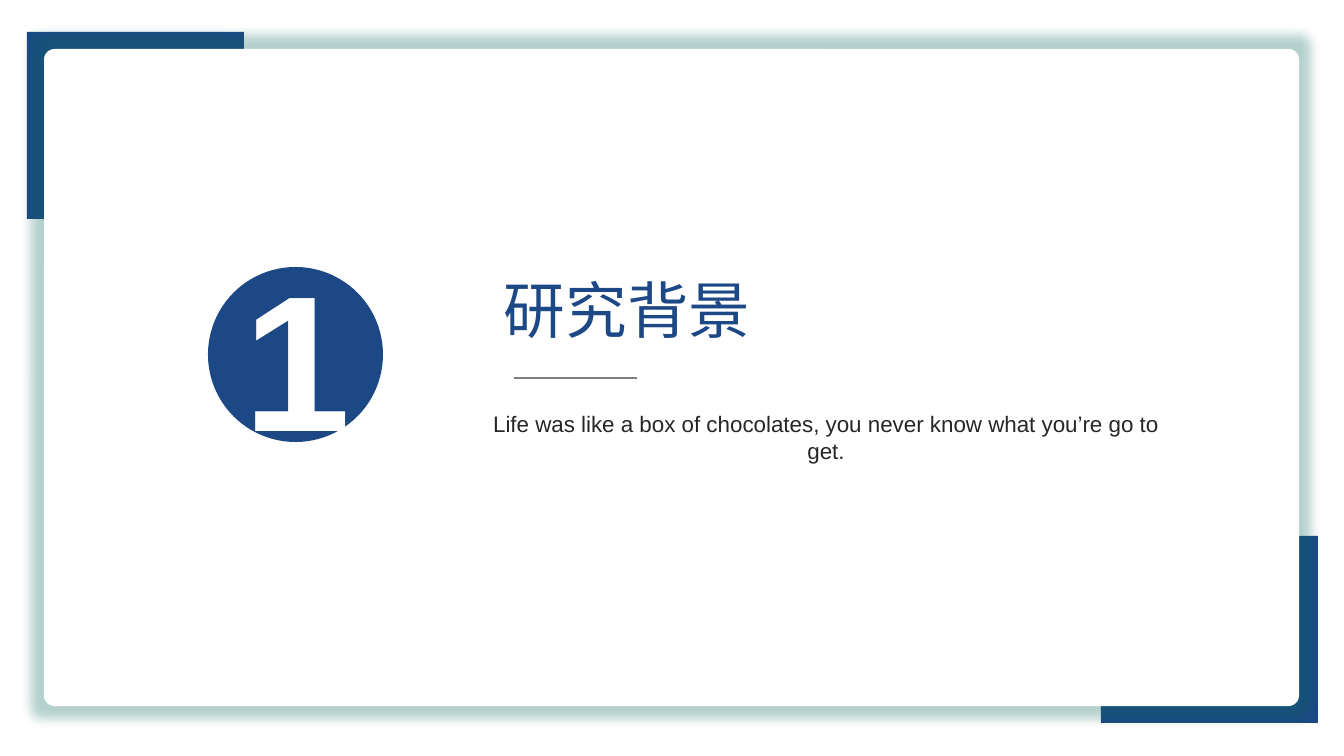
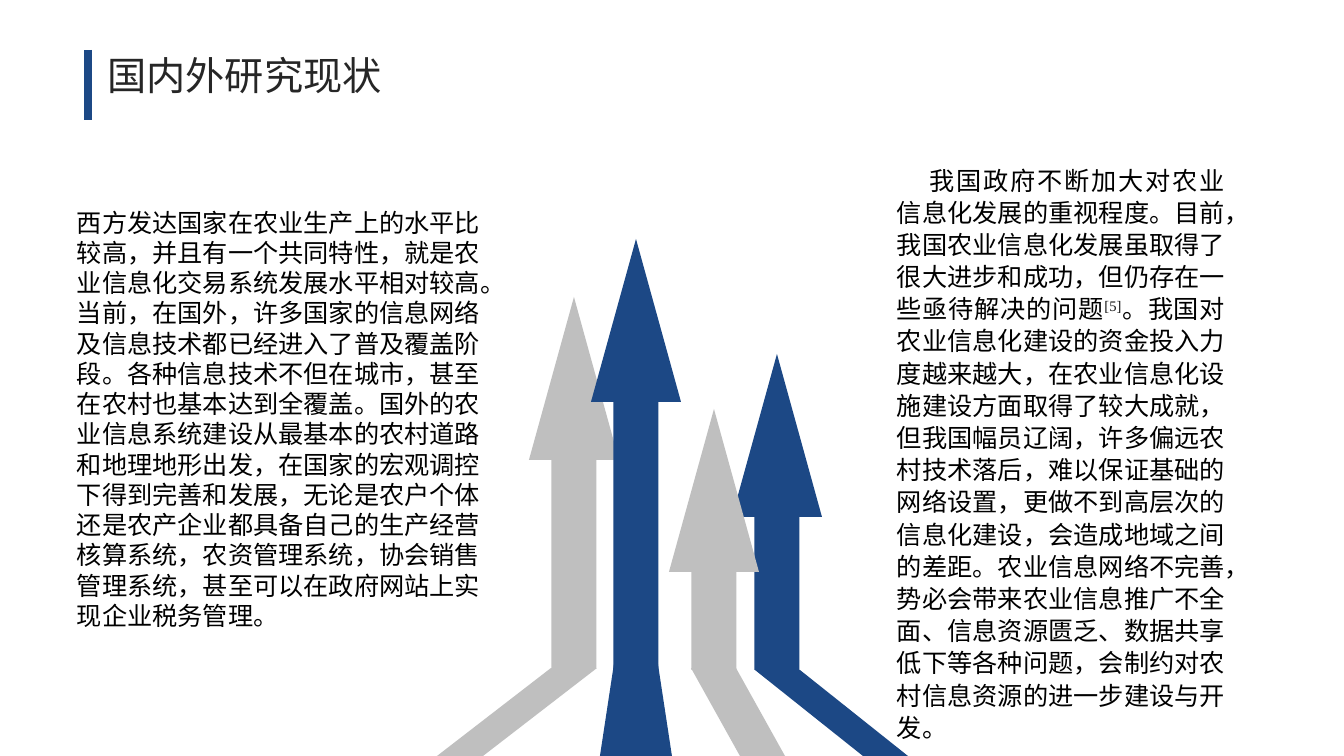
from lxml import etree
from pptx import Presentation
from pptx import util as u
from pptx.dml.color import RGBColor
from pptx.enum import shapes, text
from pptx.oxml import ns

PX = 9071
WIDTH, HEIGHT = 1344, 756
NAVY = RGBColor(0x1C, 0x48, 0x85)
SILVER = RGBColor(0xBF, 0xBF, 0xBF)
GRAY = RGBColor(0x80, 0x80, 0x80)
INK = RGBColor(0x26, 0x26, 0x26)
CITE = RGBColor(0x12, 0x12, 0x12)
BLACK = RGBColor(0, 0, 0)
WHITE = RGBColor(0xFF, 0xFF, 0xFF)
GLOW = RGBColor(0x0A, 0x68, 0x5D)
SHAPE = shapes.MSO_SHAPE
ALIGN = text.PP_ALIGN


def paint(shape, color):
    shape.shadow.inherit = False
    shape.fill.solid()
    shape.fill.fore_color.rgb = color
    shape.line.fill.background()
    return shape


def write(box, words, size, color, font="Arial", bold=False, align=ALIGN.LEFT,
          anchor=text.MSO_ANCHOR.TOP, indent=0, spacing=None, cite=None):
    frame = box.text_frame
    frame.word_wrap = True
    frame.vertical_anchor = anchor
    para = frame.paragraphs[0]
    para.alignment = align
    if spacing:
        para.line_spacing = u.Pt(spacing)
    if indent:
        para._p.get_or_add_pPr().set("indent", str(PX * indent))
    for part in words:
        span = para.add_run()
        span.text = part
        span.font.size = u.Pt(size)
        span.font.name = font
        span.font.bold = bold
        span.font.color.rgb = CITE if part == cite else color
        if part == cite:
            span._r.get_or_add_rPr().set("baseline", "30000")


deck = Presentation()
deck.slide_width, deck.slide_height = PX * WIDTH, PX * HEIGHT
section, status = [deck.slides.add_slide(deck.slide_layouts[6]) for _ in range(2)]

corner_width, corner_height = 217, 187
for left, top in [(27, 32), (1101, 536)]:
    paint(section.shapes.add_shape(SHAPE.RECTANGLE, PX * left, PX * top,
                                   PX * corner_width, PX * corner_height), NAVY)

card = paint(section.shapes.add_shape(SHAPE.ROUNDED_RECTANGLE, PX * 44, PX * 49,
                                      PX * 1255, PX * 657), WHITE)
card.adjustments[0] = 0.016
effects = card._element.spPr.find(ns.qn("a:effectLst"))
glow = etree.SubElement(effects, ns.qn("a:outerShdw"), blurRad=str(PX * 10),
                        sx="102000", sy="104000", algn="ctr", rotWithShape="0")
tint = etree.SubElement(glow, ns.qn("a:srgbClr"), val=str(GLOW))
etree.SubElement(tint, ns.qn("a:alpha"), val="29000")

badge = paint(section.shapes.add_shape(SHAPE.OVAL, PX * 208, PX * 267,
                                       PX * 175, PX * 175), NAVY)
write(badge, ["1"], 138, WHITE, bold=True, align=ALIGN.CENTER,
      anchor=text.MSO_ANCHOR.MIDDLE)
write(section.shapes.add_textbox(PX * 494, PX * 267, PX * 635, PX * 85),
      ["研究背景"], 44, NAVY, align=ALIGN.JUSTIFY)
write(section.shapes.add_textbox(PX * 479, PX * 405, PX * 694, PX * 65),
      ["Life was like a box of chocolates, you never know what you’re go to get."],
      16, INK, align=ALIGN.CENTER)

write(status.shapes.add_textbox(PX * 88, PX * 46, PX * 313, PX * 57),
      ["国内外研究现状"], 28, INK, align=ALIGN.CENTER)

for left, top, bottom, color in [(529, 297, 668, SILVER), (732, 354, 670, NAVY),
                                 (669, 409, 670, SILVER), (591, 239, 670, NAVY)]:
    arrow = paint(status.shapes.add_shape(SHAPE.UP_ARROW, PX * left, PX * top,
                                          PX * 90, PX * (bottom - top)), color)
    arrow.adjustments[0] = 0.5
    arrow.adjustments[1] = 1.81

for top, top_left, top_right, low_left, low_right, color in [
        (668, 551, 597, 437, 483, SILVER), (670, 755, 800, 863, 908, NAVY),
        (664, 614, 658, 600, 672, NAVY), (668, 691, 736, 740, 785, SILVER)]:
    outline = status.shapes.build_freeform(top_left, top, scale=PX)
    outline.add_line_segments([(top_right, top), (low_right, HEIGHT),
                               (low_left, HEIGHT)], close=True)
    paint(outline.convert_to_shape(), color)

write(status.shapes.add_textbox(PX * 67, PX * 202, PX * 442, PX * 437),
      ["西方发达国家在农业生产上的水平比较高，并且有一个共同特性，就是农业信息化交易系统"
       "发展水平相对较高。当前，在国外，许多国家的信息网络及信息技术都已经进入了普及覆盖"
       "阶段。各种信息技术不但在城市，甚至在农村也基本达到全覆盖。国外的农业信息系统建设"
       "从最基本的农村道路和地理地形出发，在国家的宏观调控下得到完善和发展，无论是农户个体"
       "还是农产企业都具备自己的生产经营核算系统，农资管理系统，协会销售管理系统，甚至可以"
       "在政府网站上实现企业税务管理。"],
      18, BLACK, font="Times New Roman")
write(status.shapes.add_textbox(PX * 887, PX * 158, PX * 348, PX * 593),
      ["我国政府不断加大对农业信息化发展的重视程度。目前，我国农业信息化发展虽取得了很大"
       "进步和成功，但仍存在一些亟待解决的问题",
       "[5]",
       "。我国对农业信息化建设的资金投入力度越来越大，在农业信息化设施建设方面取得了较大"
       "成就，但我国幅员辽阔，许多偏远农村技术落后，难以保证基础的网络设置，更做不到高层次"
       "的信息化建设，会造成地域之间的差距。农业信息网络不完善，势必会带来农业信息推广不全"
       "面、信息资源匮乏、数据共享低下等各种问题，会制约对农村信息资源的进一步建设与开发。"],
      18, BLACK, font="Times New Roman", align=ALIGN.JUSTIFY, indent=33, spacing=23,
      cite="[5]")

for page, ends, color, weight in [(section, (514, 378, 637, 378), GRAY, 2),
                                  (status, (88, 50, 88, 120), NAVY, 6)]:
    rule = page.shapes.add_connector(shapes.MSO_CONNECTOR.STRAIGHT,
                                     *[PX * end for end in ends])
    rule.line.color.rgb = color
    rule.line.width = u.Pt(weight)
    etree.SubElement(rule._element.spPr, ns.qn("a:effectLst"))

deck.save("out.pptx")
